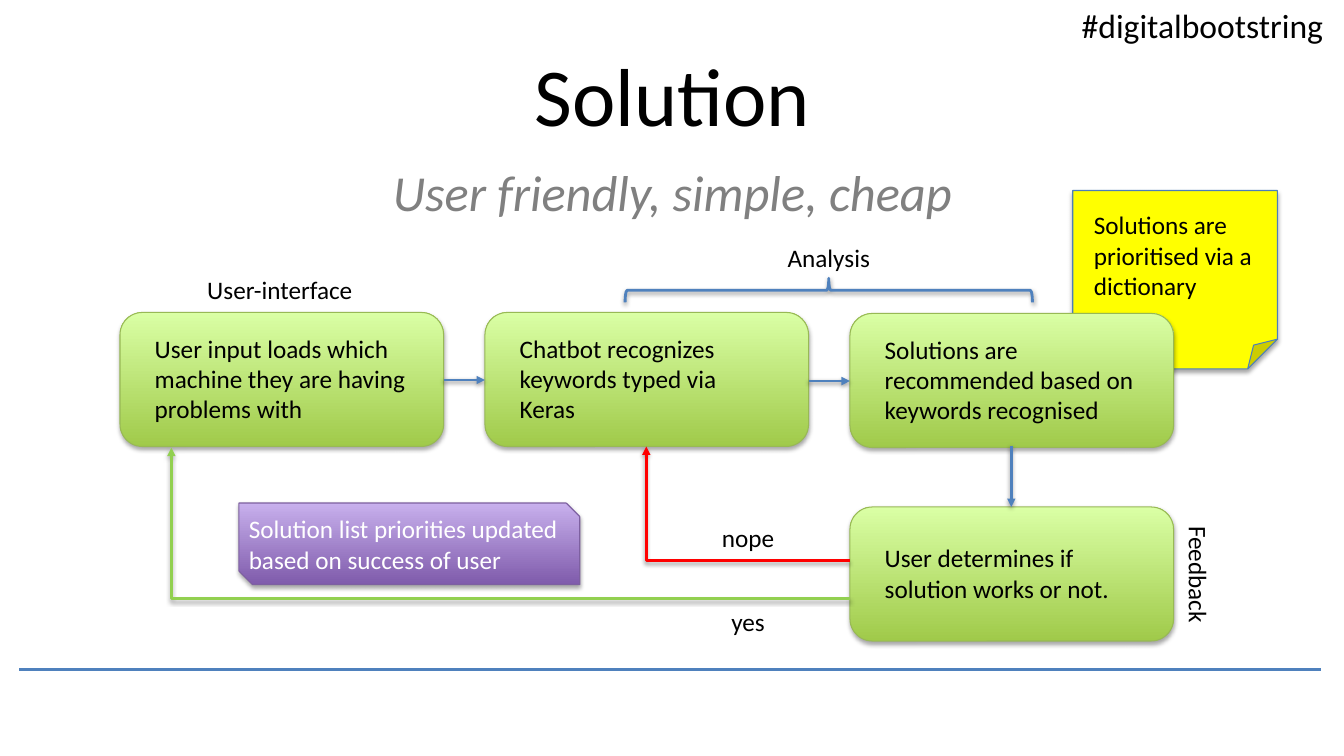
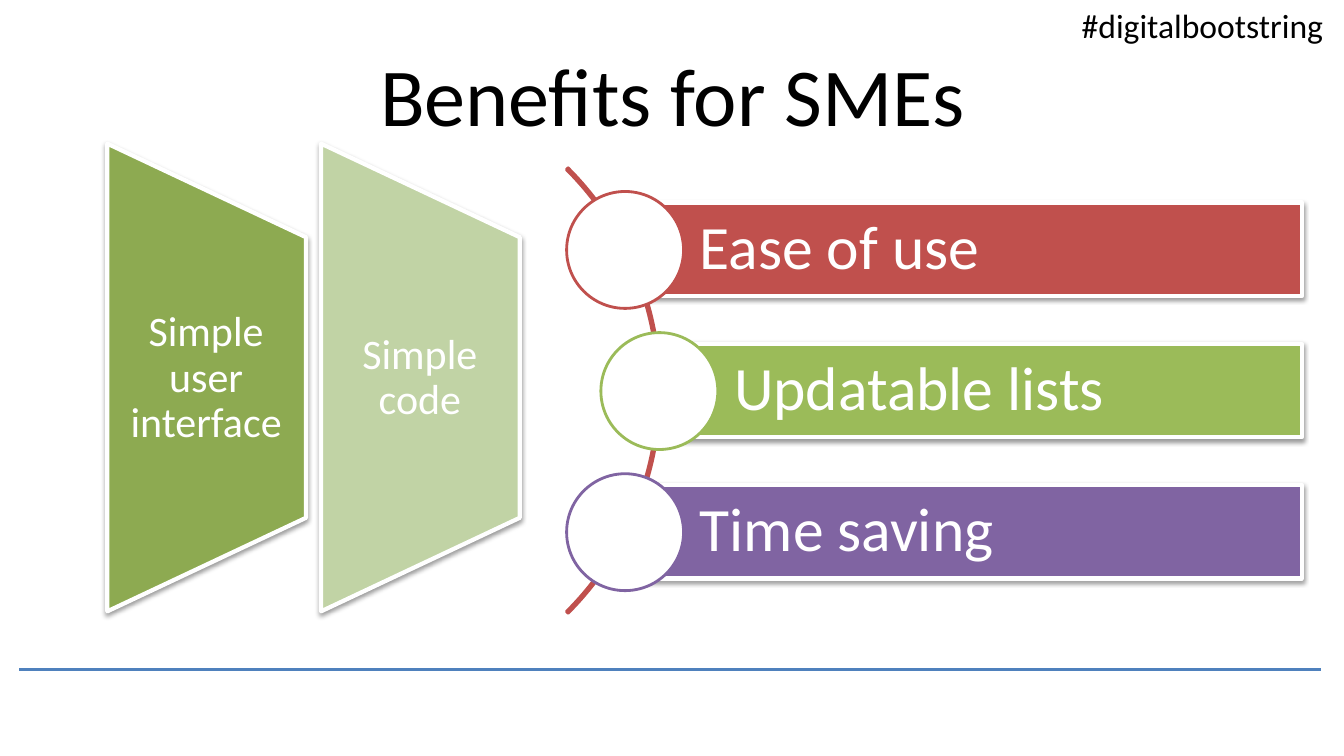
from dataclasses import dataclass
from typing import Any

from pptx import Presentation
from pptx.dml.color import RGBColor
from pptx.enum.shapes import MSO_CONNECTOR, MSO_SHAPE
from pptx.enum.text import MSO_ANCHOR, PP_ALIGN
from pptx.oxml import parse_xml
from pptx.oxml.ns import qn
from pptx.util import Emu, Pt

Box = tuple[int, int, int, int]
SCALE = 9144
FONT = "Calibri"
SPACE = 'xmlns:a="http://schemas.openxmlformats.org/drawingml/2006/main"'
HUES = {
    "black": "000000", "white": "FFFFFF", "gray": "808080",
    "blue": "4F81BD", "navy": "4B7EBC", "yellow": "FFFF00",
    "lime": "A0CA4A", "pale": "DAFFA5", "leaf": "98B955",
    "plum": "7F5BAB", "lilac": "C8B0ED", "grape": "7D60A0",
    "red": "FF0000", "green": "92D050", "brick": "C0504D",
    "olive": "9BBB59", "purple": "8064A2", "moss": "8DAA51", "sage": "C1D3A5",
}
LEFT, MID = PP_ALIGN.LEFT, PP_ALIGN.CENTER
SOFT, DEEP = (38, 20000), (35, 23000)


@dataclass(frozen=True)
class Label:
    box: Box
    text: str
    size: float = 18
    ink: str = "black"
    align: PP_ALIGN = MID
    anchor: MSO_ANCHOR = MSO_ANCHOR.TOP
    pad: Box = (10, 5, 10, 5)
    wrap: bool = True
    slant: bool = False
    lead: float = 1.0
    above: float = 0
    turn: int = 0


@dataclass(frozen=True)
class Block:
    kind: MSO_SHAPE
    box: Box
    fill: tuple[str, ...]
    edge: str
    width: float
    shade: tuple[int, int] | None = None
    turn: int = 0
    adjust: tuple[float, ...] = ()
    label: Label | None = None


@dataclass(frozen=True)
class Link:
    box: Box
    hue: str = "blue"
    bent: bool = False
    head: bool = True
    shade: tuple[int, int] | None = SOFT


def px(num: int) -> Emu:
    return Emu(num * SCALE)


def tint(name: str) -> RGBColor:
    return RGBColor.from_string(HUES[name])


def apply(item: Any, form: dict[str, Any]) -> None:
    for key, val in form.items():
        setattr(item, key, val)


def place(shape: Any, box: Box, turn: int = 0) -> None:
    apply(shape, dict(zip(("left", "top", "width", "height"), map(px, box))))
    shape.rotation = turn


def cast(shape: Any, shade: tuple[int, int] | None) -> None:
    drop = ""
    if shade:
        alpha, dist = shade
        drop = (f'<a:outerShdw blurRad="40000" dist="{dist}" dir="5400000" rotWithShape="0">'
                f'<a:srgbClr val="{HUES["black"]}"><a:alpha val="{alpha * 1000}"/>'
                '</a:srgbClr></a:outerShdw>')
    shape._element.spPr.append(parse_xml(f"<a:effectLst {SPACE}>{drop}</a:effectLst>"))


def write(shape: Any, label: Label) -> None:
    frame = shape.text_frame
    sides = ("margin_left", "margin_top", "margin_right", "margin_bottom")
    apply(frame, dict(zip(sides, map(px, label.pad))))
    apply(frame, {"word_wrap": label.wrap, "vertical_anchor": label.anchor})
    para = frame.paragraphs[0]
    apply(para, {"alignment": label.align, "line_spacing": label.lead,
                 "space_before": Pt(label.above)})
    run = para.add_run()
    run.text = label.text
    apply(run.font, {"name": FONT, "size": Pt(label.size), "italic": label.slant})
    run.font.color.rgb = tint(label.ink)


def note(slide: Any, label: Label) -> None:
    shape = slide.shapes.add_textbox(*map(px, label.box))
    shape.rotation = label.turn
    write(shape, label)


def draw(slide: Any, block: Block) -> None:
    shape = slide.shapes.add_shape(block.kind, *map(px, block.box))
    shape.rotation = block.turn
    for spot, val in enumerate(block.adjust):
        shape.adjustments[spot] = val
    fill = shape.fill
    if len(block.fill) == 2:
        fill.gradient()
        fill.gradient_angle = 90
        for stop, name in zip(fill.gradient_stops, block.fill):
            stop.color.rgb = tint(name)
    elif block.fill:
        fill.solid()
        fill.fore_color.rgb = tint(block.fill[0])
    else:
        fill.background()
    shape.line.color.rgb = tint(block.edge)
    shape.line.width = Pt(block.width)
    cast(shape, block.shade)
    if block.label:
        write(shape, block.label)


def join(slide: Any, link: Link) -> None:
    line = slide.shapes.add_connector(
        MSO_CONNECTOR.ELBOW if link.bent else MSO_CONNECTOR.STRAIGHT,
        *map(px, link.box))
    line.line.color.rgb = tint(link.hue)
    line.line.width = Pt(2)
    props = line._element.spPr
    if link.bent:
        props.find(qn("a:prstGeom")).set("prst", "bentConnector2")
        props.find(qn("a:xfrm")).set("rot", "10800000")
    if link.head:
        props.find(qn("a:ln")).append(parse_xml(f'<a:tailEnd {SPACE} type="triangle"/>'))
    cast(line, link.shade)


def start(deck: Any, title: str) -> Any:
    slide = deck.slides.add_slide(deck.slide_layouts[5])
    join(slide, Link((19, 664, 1310, 664), head=False, shade=None))
    note(slide, Label((1063, 0, 263, 50), "#digitalbootstring", 24, align=LEFT, wrap=False))
    box = (67, 30, 1200, 125)
    place(slide.shapes.title, box)
    write(slide.shapes.title, Label(box, title, 58.7, anchor=MSO_ANCHOR.MIDDLE))
    return slide


def step(slide: Any, left: int, top: int, text: str) -> None:
    box = (left, top, 321, 133)
    label = Label(box, text, align=LEFT, anchor=MSO_ANCHOR.MIDDLE, pad=(28, 4, 28, 6))
    draw(slide, Block(MSO_SHAPE.ROUNDED_RECTANGLE, box, ("lime", "pale"), "leaf",
                      0.75, DEEP, label=label))


def solve(deck: Any) -> None:
    slide = start(deck, "Solution")
    box = (1064, 189, 203, 177)
    memo = Label(box, "Solutions are prioritised via a dictionary", align=LEFT,
                 pad=(21, 19, 23, 5))
    draw(slide, Block(MSO_SHAPE.FOLDED_CORNER, box, ("yellow",), "navy", 0.75, DEEP,
                      label=memo))
    for left, top, text in (
        (119, 310, "User input loads which machine they are having problems with"),
        (481, 310, "Chatbot recognizes keywords typed via Keras"),
        (843, 311, "Solutions are recommended based on keywords recognised"),
        (843, 503, "User determines if solution works or not."),
    ):
        step(slide, left, top, text)
    for link in (
        Link((440, 377, 481, 377)),
        Link((802, 378, 843, 378)),
        Link((1003, 442, 1003, 503)),
        Link((641, 443, 843, 556), "red", True),
        Link((170, 444, 843, 594), "green", True),
    ):
        join(slide, link)
    box = (237, 499, 338, 81)
    aim = Label(box, "Solution list priorities updated based on success of user",
                ink="white", align=LEFT, anchor=MSO_ANCHOR.MIDDLE, pad=(3, 0, 3, 0))
    draw(slide, Block(MSO_SHAPE.SNIP_2_DIAG_RECTANGLE, box, ("plum", "lilac"), "grape",
                      0.75, DEEP, label=aim))
    draw(slide, Block(MSO_SHAPE.RIGHT_BRACE, (810, 86, 24, 404), (), "blue", 2, SOFT, 270))
    for label in (
        Label((67, 155, 1200, 77), "User friendly, simple, cheap", 36, "gray",
              slant=True, above=7.2),
        Label((662, 513, 160, 41), "nope"),
        Label((680, 597, 124, 41), "yes"),
        Label((577, 236, 490, 40), "Analysis"),
        Label((1125, 550, 128, 40), "Feedback", turn=90),
        Label((117, 267, 321, 40), "User-interface"),
    ):
        note(slide, label)


def gains(deck: Any) -> None:
    slide = start(deck, "Benefits for SMEs")
    draw(slide, Block(MSO_SHAPE.BLOCK_ARC, (30, 75, 625, 625), (), "brick", 2,
                      adjust=(189, 27, 0.004)))
    bars = ((620, "Ease of use", "brick"), (654, "Updatable lists", "olive"),
            (620, "Time saving", "purple"))
    for row, (left, text, hue) in enumerate(bars):
        top = 201 + 140 * row
        box = (left, top, 1291 - left, 93)
        label = Label(box, text, 44, "white", LEFT, MSO_ANCHOR.MIDDLE,
                      (74, 12, 12, 12), lead=0.9)
        draw(slide, Block(MSO_SHAPE.RECTANGLE, box, (hue,), "white", 3, SOFT, label=label))
        draw(slide, Block(MSO_SHAPE.OVAL, (left - 58, top - 11, 116, 116), ("white",), hue, 2))
    for col, (text, hue) in enumerate((("Simple user interface", "moss"),
                                       ("Simple code", "sage"))):
        move = 212 * col
        draw(slide, Block(MSO_SHAPE.FLOWCHART_MANUAL_OPERATION, (move - 27, 276, 464, 197),
                          (hue,), "white", 3, SOFT, 270))
        note(slide, Label((106 + move, 236, 197, 279), text, 30, "white",
                          anchor=MSO_ANCHOR.MIDDLE, pad=(21, 0, 21, 0), lead=0.9))


def main() -> None:
    deck = Presentation()
    apply(deck, {"slide_width": px(1333), "slide_height": px(750)})
    solve(deck)
    gains(deck)
    deck.save("out.pptx")


if __name__ == "__main__":
    main()
